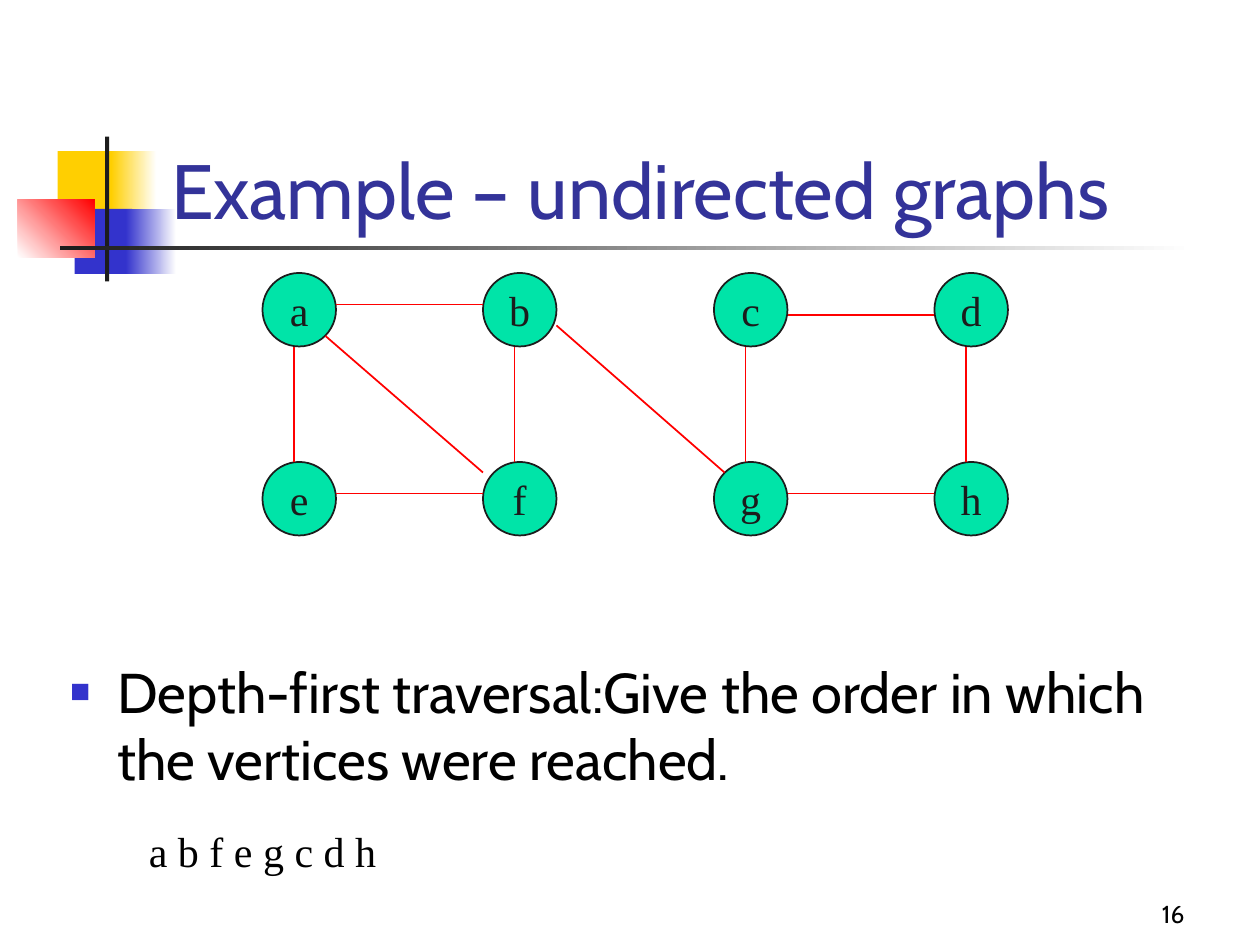
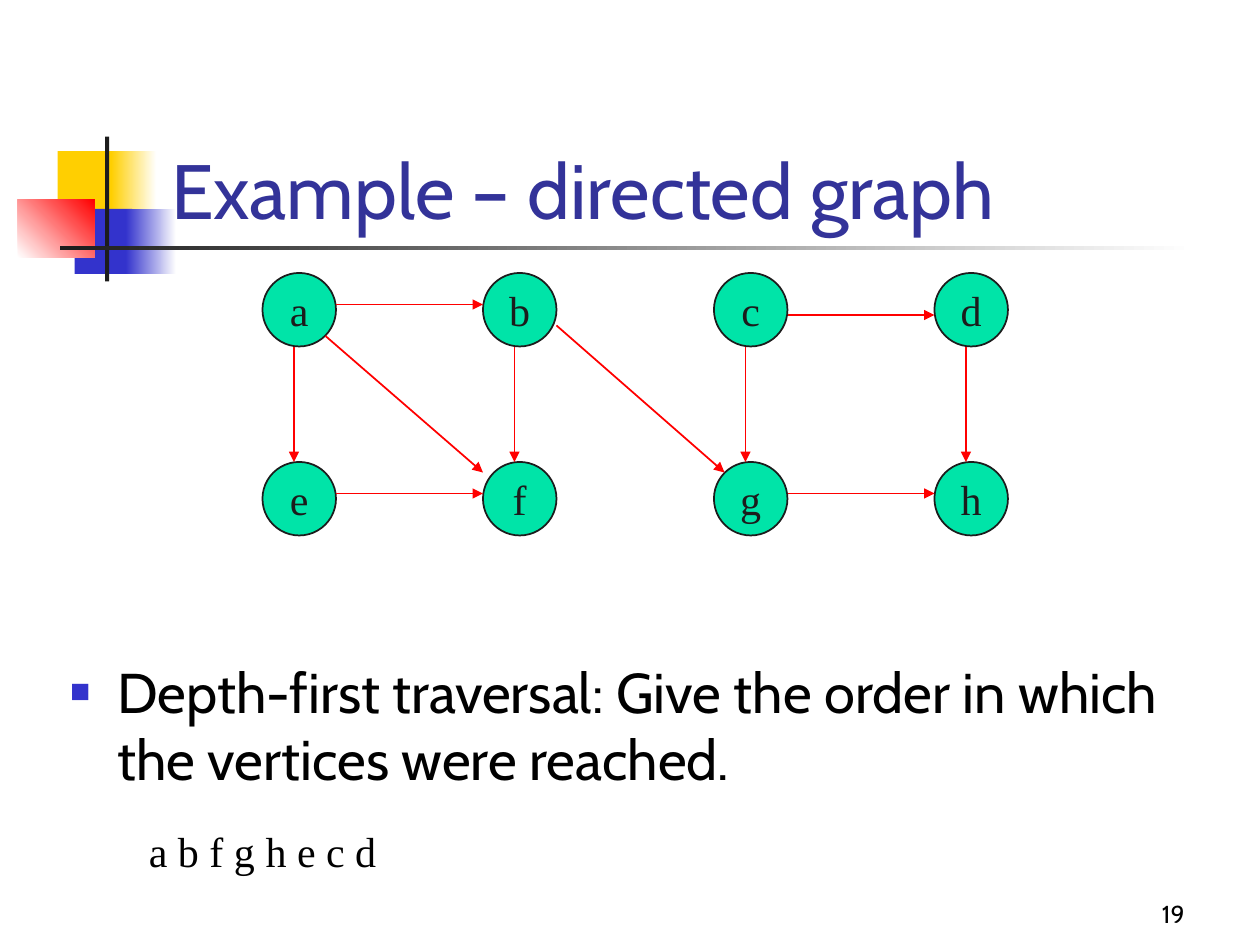
from lxml import etree
from pptx import Presentation
from pptx import util as u
from pptx.dml.color import RGBColor
from pptx.enum import shapes, text
from pptx.oxml.ns import qn

PX = 7620  # EMU in one px, 120 px to the inch

YELLOW = RGBColor(0xFF, 0xCF, 0x01)
BLUE = RGBColor(0x33, 0x33, 0xCC)
RED = RGBColor(0xFF, 0x00, 0x00)
WHITE = RGBColor(0xFF, 0xFF, 0xFF)
INK = RGBColor(0x1C, 0x1C, 0x1C)
BLACK = RGBColor(0x00, 0x00, 0x00)
TITLE_BLUE = RGBColor(0x33, 0x33, 0x99)
GREEN = RGBColor(0x00, 0xE4, 0xA8)

SANS = "Cabin"
SERIF = "Times New Roman"

# Band behind the title: left, top, width, height, colours from start to end, angle
BAND = [
    (55, 144, 58, 62, (YELLOW,), 0),
    (106, 144, 43, 62, (YELLOW, WHITE), 0),
    (71, 199, 55, 62, (BLUE,), 0),
    (120, 199, 48, 62, (BLUE, WHITE), 0),
    (17, 190, 73, 55, (WHITE, RED), 45),
    (100, 130, 4, 138, (INK,), 0),
    (57, 234, 1080, 4, (INK, WHITE), 0),
]

# Graph: vertices stand on a grid of four columns and two rows
VERTEX = 70
COLUMNS = (250, 460, 680, 890)
ROWS = (260, 440)
VERTICES = {
    name: (left, top)
    for top, names in zip(ROWS, ("abcd", "efgh"))
    for left, name in zip(COLUMNS, names)
}

# Edges: start vertex, point inside its box, end vertex, point inside its box
RIGHTWARD = ((VERTEX, 30), (0, 30))
LOW_RIGHTWARD = ((VERTEX, 40), (0, 40))
DOWNWARD = ((30, VERTEX), (30, 0))
EDGES = [
    ("ab", RIGHTWARD),
    ("ae", DOWNWARD),
    ("ef", RIGHTWARD),
    ("bf", DOWNWARD),
    ("af", ((60, 60), (0, 10))),
    ("cg", DOWNWARD),
    ("gh", RIGHTWARD),
    ("dh", DOWNWARD),
    ("cd", LOW_RIGHTWARD),
    ("bg", ((VERTEX, 50), (10, 10))),
]

# Title, question, order of vertices, slide number, directed or not
SLIDES = [
    ("Example – undirected graphs",
     "Depth-first traversal:Give the order in which the vertices were reached.",
     "a b f e g c d h", "16", False),
    ("Example – directed graph",
     "Depth-first traversal: Give the order in which the vertices were reached.",
     "a b f g h e c d", "19", True),
]


def px(*lengths):
    return [u.Emu(length * PX) for length in lengths]


def write(frame, words, font, size, color, align=text.PP_ALIGN.LEFT,
          anchor=text.MSO_ANCHOR.TOP, wrap=True):
    frame.word_wrap = wrap
    frame.auto_size = text.MSO_AUTO_SIZE.NONE
    frame.vertical_anchor = anchor
    para = frame.paragraphs[0]
    para.alignment = align
    span = para.add_run()
    span.text = words
    span.font.name = font
    span.font.size = u.Pt(size)
    span.font.color.rgb = color
    return para


def add_text(page, place, *args, **kwargs):
    box = page.shapes.add_textbox(*px(*place))
    return write(box.text_frame, *args, **kwargs)


def add_square_bullet(para):
    para.space_before = u.Pt(8)
    properties = para._p.get_or_add_pPr()
    indent = 45 * PX
    properties.set("marL", str(indent))
    properties.set("indent", str(-indent))
    color = etree.SubElement(properties, qn("a:buClr"))
    etree.SubElement(color, qn("a:srgbClr"), val=str(BLUE))
    etree.SubElement(properties, qn("a:buSzPct"), val="60000")
    etree.SubElement(properties, qn("a:buFont"), typeface="Arial")
    etree.SubElement(properties, qn("a:buChar"), char="■")


def add_band(page):
    for left, top, width, height, colors, angle in BAND:
        block = page.shapes.add_shape(
            shapes.MSO_SHAPE.RECTANGLE, *px(left, top, width, height))
        block.shadow.inherit = False
        block.line.fill.background()
        if len(colors) == 1:
            block.fill.solid()
            block.fill.fore_color.rgb = colors[0]
        else:
            block.fill.gradient()
            block.fill.gradient_angle = angle
            for stop, color in zip(block.fill.gradient_stops, colors):
                stop.color.rgb = color


def add_title(page, words):
    title = page.shapes.title
    title.left, title.top, title.width, title.height = px(151, 80, 1022, 150)
    write(title.text_frame, words, SANS, 44, TITLE_BLUE,
          anchor=text.MSO_ANCHOR.BOTTOM)
    # Lift the title above the band
    title.element.getparent().append(title.element)


def add_vertex(page, name, left, top):
    vertex = page.shapes.add_shape(
        shapes.MSO_SHAPE.OVAL, *px(left, top, VERTEX, VERTEX))
    vertex.shadow.inherit = False
    vertex.fill.solid()
    vertex.fill.fore_color.rgb = GREEN
    vertex.line.color.rgb = INK
    vertex.line.width = u.Pt(1)
    write(vertex.text_frame, name, SERIF, 24, INK, text.PP_ALIGN.CENTER,
          text.MSO_ANCHOR.MIDDLE, wrap=False)


def add_edge(page, ends, offsets, directed):
    points = [
        corner + shift
        for name, offset in zip(ends, offsets)
        for corner, shift in zip(VERTICES[name], offset)
    ]
    edge = page.shapes.add_connector(shapes.MSO_CONNECTOR.STRAIGHT, *px(*points))
    edge.line.color.rgb = RED
    edge.line.width = u.Pt(1)
    if directed:
        etree.SubElement(edge.line._get_or_add_ln(), qn("a:tailEnd"),
                         type="triangle")
    etree.SubElement(edge.element.spPr, qn("a:effectLst"))


def add_graph(page, directed):
    for name, (left, top) in VERTICES.items():
        add_vertex(page, name, left, top)
    for ends, offsets in EDGES:
        add_edge(page, ends, offsets, directed)


def main():
    deck = Presentation()
    deck.slide_width, deck.slide_height = px(1200, 900)
    title_only = deck.slide_layouts[5]
    for title, question, order, number, directed in SLIDES:
        page = deck.slides.add_slide(title_only)
        add_band(page)
        add_title(page, title)
        add_square_bullet(
            add_text(page, (55, 620, 1090, 150), question, SANS, 32, BLACK))
        add_graph(page, directed)
        add_text(page, (130, 780, 290, 60), order, SERIF, 24, BLACK)
        add_text(page, (890, 830, 250, 60), number, SANS, 14, BLACK,
                 text.PP_ALIGN.RIGHT, text.MSO_ANCHOR.BOTTOM)
    deck.save("out.pptx")


if __name__ == "__main__":
    main()
